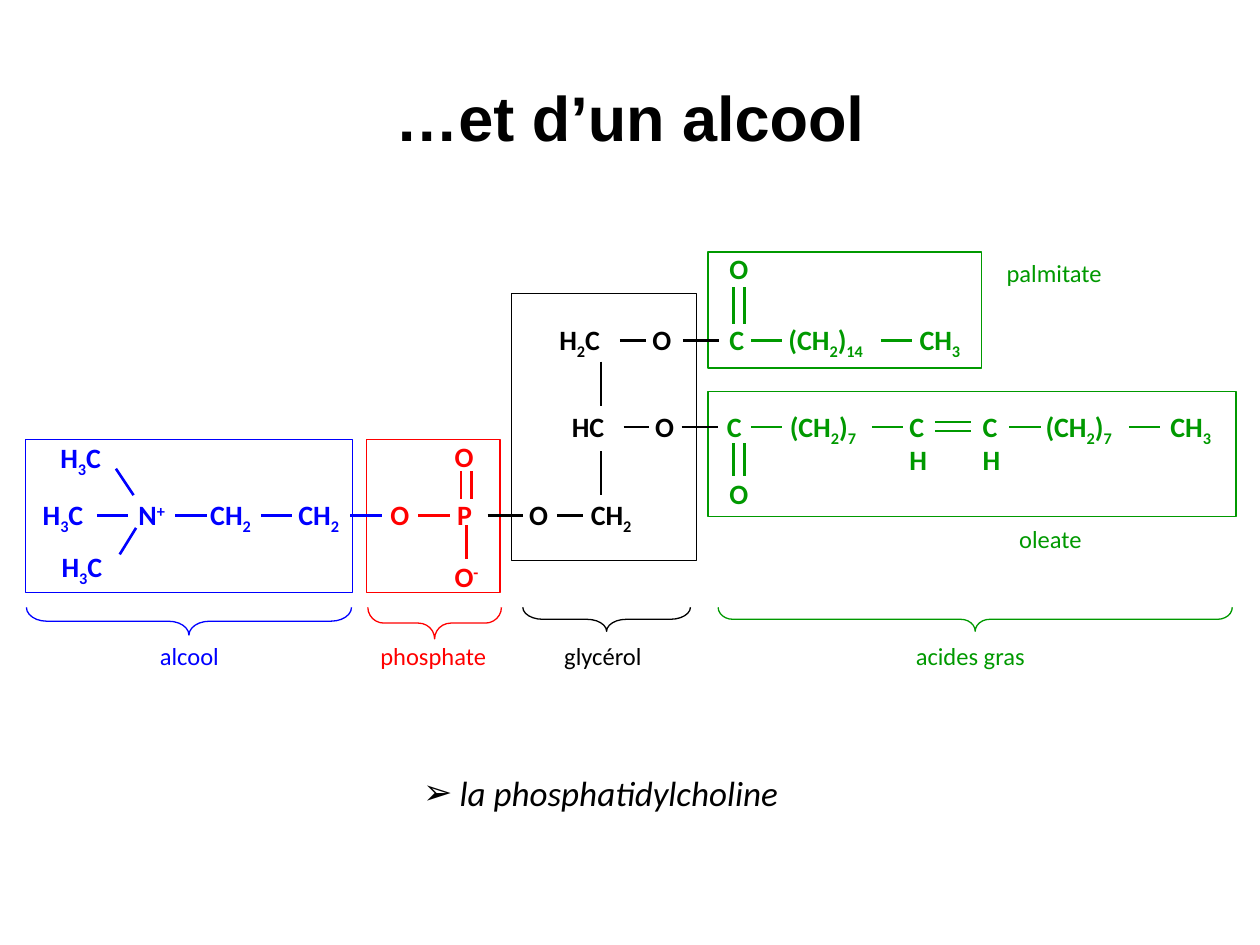
from lxml import etree
from pptx import Presentation, util as u
from pptx.dml.color import RGBColor
from pptx.enum import shapes, text
from pptx.oxml.ns import qn

COLORS = {"black": "000000", "blue": "0000FF", "red": "FF0000",
          "green": "009900", "white": "FFFFFF"}
WIDTH, HEIGHT = 10, 7.5
LINE_HEIGHT = {14: 0.33, 16: 0.37, 20: 0.43}
ROWS = {"palmitate": 2.51, "oleate": 3.2, "choline": 3.9}
AXES = {"palmitate": 2.7, "oleate": 3.39, "choline": 4.09}
BRACE_TOP, CAPTION_TOP = 4.82, 5.04
BULLET_INDENT = 0.29

FRAMES = [
    ("green", 5.62, 3.11, 4.19, 0.99),
    ("green", 5.62, 2, 2.17, 0.92),
    ("black", 4.06, 2.33, 1.47, 2.12),
    ("blue", 0.2, 3.49, 2.6, 1.21),
    ("red", 2.91, 3.49, 1.06, 1.21),
]
BRACES = [
    ("green", 5.7, 4.08, 0.19, 0.61),
    ("black", 4.15, 1.33, 0.19, 0.83),
    ("blue", 0.21, 2.58, 0.22, 0.74),
    ("red", 2.92, 1.06, 0.25, 0.51),
]
CAPTIONS = [
    ("alcool", "blue", 1.17, CAPTION_TOP, 0.71),
    ("phosphate", "red", 2.92, CAPTION_TOP, 1.11),
    ("glycérol", "black", 4.38, CAPTION_TOP, 0.87),
    ("acides gras", "green", 7.17, CAPTION_TOP, 1.2),
    ("palmitate", "green", 7.89, 2, 0.99),
    ("oleate", "green", 7.99, 4.11, 0.73),
]
ROW_ATOMS = {
    "palmitate": [
        ("H _2 C", "black", 4.34, 0.62), ("O", "black", 5.08, 0.38),
        ("C", "green", 5.69, 0.33), ("(CH _2 ) _14", "green", 6.16, 0.93),
        ("CH _3", "green", 7.2, 0.62),
    ],
    "oleate": [
        ("HC", "black", 4.44, 0.52), ("O", "black", 5.1, 0.38),
        ("C", "green", 5.67, 0.33), ("(CH _2 ) _7", "green", 6.17, 0.84),
        ("CH", "green", 7.12, 0.34), ("CH", "green", 7.7, 0.34),
        ("(CH _2 ) _7", "green", 8.2, 0.84), ("CH _3", "green", 9.19, 0.62),
    ],
    "choline": [
        ("H _3 C", "blue", 0.24, 0.62), ("N ^+", "blue", 1, 0.45),
        ("CH _2", "blue", 1.57, 0.62), ("CH _2", "blue", 2.27, 0.62),
        ("O", "red", 3, 0.38), ("P", "red", 3.53, 0.35),
        ("O", "black", 4.1, 0.38), ("CH _2", "black", 4.59, 0.62),
    ],
}
SIDE_ATOMS = [
    ("O", "green", 5.69, 1.95, 0.33), ("O", "green", 5.69, 3.73, 0.33),
    ("O", "red", 3.51, 3.44, 0.38), ("O ^-", "red", 3.51, 4.39, 0.43),
    ("H _3 C", "blue", 0.38, 3.45, 0.62), ("H _3 C", "blue", 0.39, 4.31, 0.62),
]
ROW_BONDS = {
    "palmitate": [("black", 4.92, 0.21), ("black", 5.42, 0.29),
                  ("green", 5.96, 0.25), ("green", 6.99, 0.25)],
    "oleate": [("black", 4.95, 0.2), ("black", 5.41, 0.29),
               ("green", 5.96, 0.25), ("green", 6.92, 0.25),
               ("green", 8.01, 0.25), ("green", 8.96, 0.25)],
    "choline": [("blue", 0.77, 0.25), ("blue", 1.39, 0.25), ("blue", 2.07, 0.25),
                ("blue", 2.78, 0.25), ("red", 3.32, 0.25),
                ("black", 3.87, 0.28), ("black", 4.42, 0.21)],
}
SIDE_BONDS = [
    ("black", 4.77, 2.87, 0, 0.35), ("black", 4.77, 3.58, 0, 0.35),
    ("red", 3.7, 4.17, 0, 0.27),
    ("blue", 0.95, 4.4, 0.13, -0.21), ("blue", 0.92, 3.72, 0.14, 0.21),
]
DOUBLE_BONDS = [
    ("green", 5.82, 2.28, 0, 0.29, 0.09), ("green", 5.82, 3.52, 0, 0.26, 0.09),
    ("red", 3.66, 3.74, 0, 0.22, 0.08), ("green", 7.42, 3.35, 0.29, 0, 0.07),
]


def color(name):
    return RGBColor.from_string(COLORS[name])


def inches(*lengths):
    return [u.Inches(length) for length in lengths]


def add_label(page, content, ink, left, top, width, size=16, bold=False,
              italic=False, wrap=True):
    box = page.shapes.add_textbox(*inches(left, top, width, LINE_HEIGHT[size]))
    frame = box.text_frame
    frame.word_wrap = wrap
    frame.auto_size = text.MSO_AUTO_SIZE.SHAPE_TO_FIT_TEXT
    para = frame.paragraphs[0]
    for part in content:
        span = para.add_run()
        span.text = part.lstrip("_^")
        span.font.name, span.font.size = "Calibri", u.Pt(size)
        span.font.bold, span.font.italic = bold, italic
        span.font.color.rgb = color(ink)
        if part[0] in "_^":
            span.font._element.set("baseline", "-25000" if part[0] == "_" else "30000")
    return para


def add_atom(page, formula, ink, left, top, width):
    add_label(page, formula.split(), ink, left, top, width, bold=True)


def add_outline(page, kind, ink, left, top, width, height):
    shape = page.shapes.add_shape(kind, *inches(left, top, width, height))
    shape.shadow.inherit = False
    shape.line.color.rgb = color(ink)
    shape.line.width = u.Pt(0.75)
    return shape


def add_bond(page, ink, x, y, run, rise):
    bond = page.shapes.add_connector(shapes.MSO_CONNECTOR.STRAIGHT,
                                     *inches(x, y, x + run, y + rise))
    bond.line.color.rgb = color(ink)
    bond.line.width = u.Pt(1.5)
    etree.SubElement(bond._element.spPr, qn("a:effectLst"))


def add_title(page):
    box = page.shapes.add_textbox(*inches(0, 0.51, WIDTH, 0.83))
    box.fill.solid()
    box.fill.fore_color.rgb = color("white")
    box.text_frame.word_wrap = True
    box.text_frame.vertical_anchor = text.MSO_ANCHOR.MIDDLE
    para = box.text_frame.paragraphs[0]
    para.alignment = text.PP_ALIGN.CENTER
    span = para.add_run()
    span.text = "…et d’un alcool"
    span.font.name, span.font.size, span.font.bold = "Arial", u.Pt(36), True
    span.font.color.rgb = color("black")


def add_bullet(para):
    props = para._p.get_or_add_pPr()
    props.set("marL", str(u.Inches(BULLET_INDENT)))
    props.set("indent", str(-u.Inches(BULLET_INDENT)))
    etree.SubElement(props, qn("a:buFont")).set("typeface", "Arial")
    etree.SubElement(props, qn("a:buChar")).set("char", "➢")


def main():
    deck = Presentation()
    deck.slide_width, deck.slide_height = inches(WIDTH, HEIGHT)
    page = deck.slides.add_slide(deck.slide_layouts[6])
    add_title(page)

    for ink, left, span, depth, curve in BRACES:
        middle, center = left + span / 2, BRACE_TOP + depth / 2
        brace = add_outline(page, shapes.MSO_SHAPE.LEFT_BRACE, ink,
                            middle - depth / 2, center - span / 2, depth, span)
        brace.rotation = 270
        brace.adjustments[0] = curve
        brace.fill.background()
    for ink, *place in FRAMES:
        frame = add_outline(page, shapes.MSO_SHAPE.RECTANGLE, ink, *place)
        frame.fill.solid()
        frame.fill.fore_color.rgb = color("white")

    for row, atoms in ROW_ATOMS.items():
        for formula, ink, left, width in atoms:
            add_atom(page, formula, ink, left, ROWS[row], width)
    for atom in SIDE_ATOMS:
        add_atom(page, *atom)

    for row, bonds in ROW_BONDS.items():
        for ink, left, length in bonds:
            add_bond(page, ink, left, AXES[row], length, 0)
    for bond in SIDE_BONDS:
        add_bond(page, *bond)
    for ink, x, y, run, rise, gap in DOUBLE_BONDS:
        add_bond(page, ink, x, y, run, rise)
        add_bond(page, ink, x + (gap if rise else 0), y + (gap if run else 0), run, rise)

    for caption, *place in CAPTIONS:
        add_label(page, [caption], *place, size=14, wrap=False)
    add_bullet(add_label(page, ["la phosphatidylcholine"], "black", 3.26, 6.07, 3.23,
                         size=20, italic=True))
    deck.save("out.pptx")


if __name__ == "__main__":
    main()
